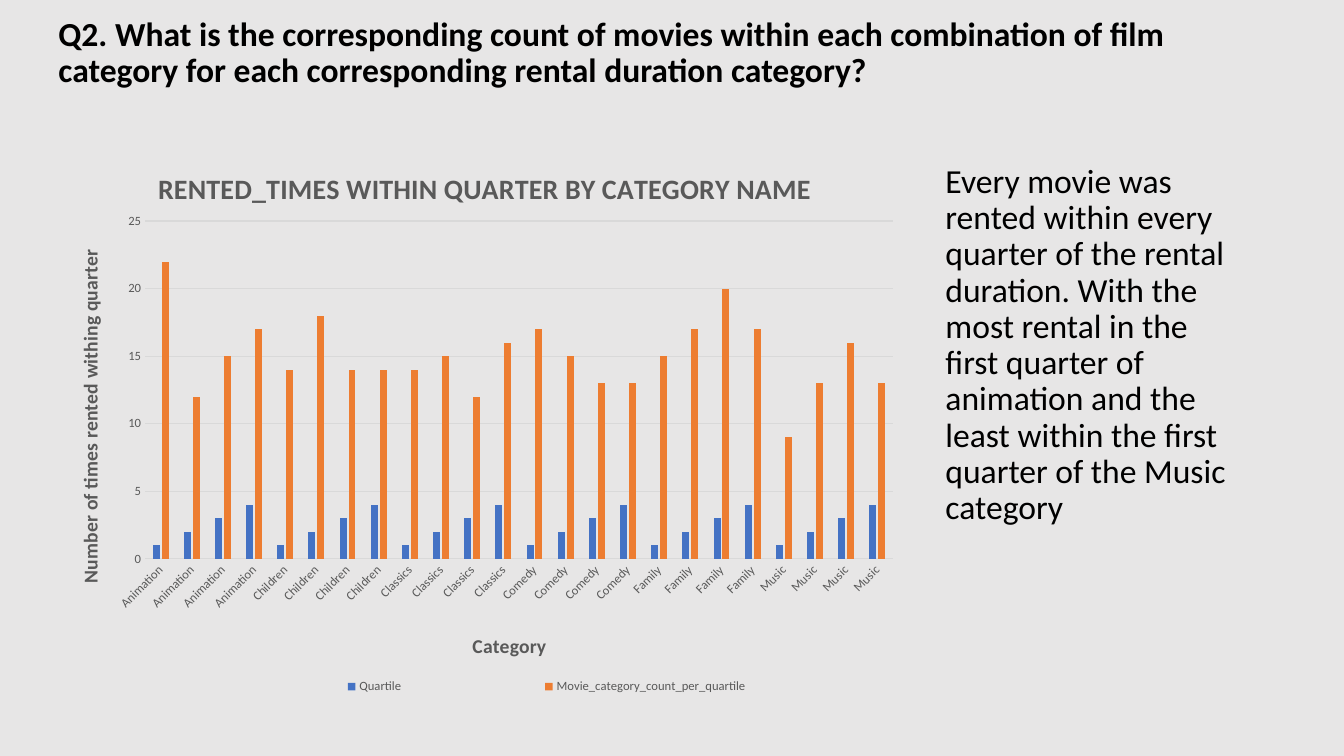
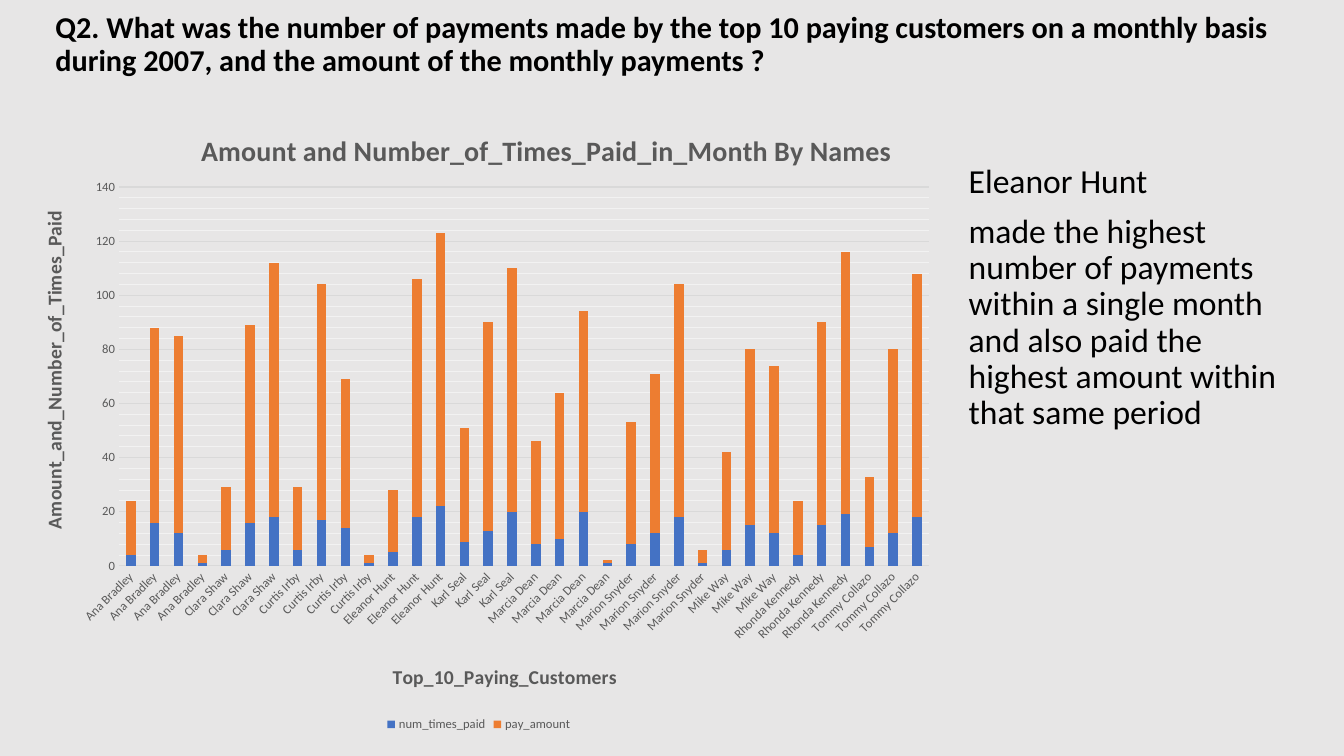
import copy
from dataclasses import dataclass
from typing import Optional

import lxml.etree
import pptx
import pptx.chart.data
import pptx.dml.color
import pptx.enum.chart
import pptx.enum.text
import pptx.oxml
import pptx.oxml.ns
import pptx.util

Pt = pptx.util.Pt
ChartType = pptx.enum.chart.XL_CHART_TYPE
qn = pptx.oxml.ns.qn


@dataclass(frozen=True)
class Theme:
    font: str = "Calibri"
    background: str = "E7E6E6"
    ink: str = "000000"
    chart_ink: str = "595959"
    rule: str = "D9D9D9"
    minor_rule: str = "F2F2F2"
    series: tuple[str, ...] = ("4472C4", "ED7D31")
    body_size: float = 24
    chart_size: float = 10
    chart_title_size: float = 20
    axis_title_size: float = 14
    tick_size: float = 9
    rule_width: float = 0.75
    line_spacing: float = 0.9
    paragraph_gap: float = 10


@dataclass(frozen=True)
class Frame:
    left: float
    top: float
    width: float = 0
    height: float = 0


@dataclass(frozen=True)
class Caption:
    text: str
    frame: Frame
    turned: bool = False


@dataclass(frozen=True)
class ColumnChart:
    kind: ChartType
    frame: Frame
    plot: Frame
    heading: Caption
    category_caption: Caption
    value_caption: Caption
    categories: list[str]
    series: dict[str, list[int]]
    maximum: float
    step: float
    gap: int
    overlap: int
    minor_step: Optional[float] = None
    legend: Optional[Frame] = None


@dataclass(frozen=True)
class Question:
    title: str
    title_frame: Frame
    title_size: float
    findings: list[str]
    findings_frame: Frame
    chart: ColumnChart
    findings_inset: float = 3.6


THEME = Theme()


def rgb(value: str) -> pptx.dml.color.RGBColor:
    return pptx.dml.color.RGBColor.from_string(value)


def style_font(font, size: float, color: str, bold: bool = False) -> None:
    font.name = THEME.font
    font.size = Pt(size)
    font.bold = bold
    font.color.rgb = rgb(color)


def style_line(line, color: str) -> None:
    line.color.rgb = rgb(color)
    line.width = Pt(THEME.rule_width)


def move(shape, frame: Frame) -> None:
    shape.left, shape.top = Pt(frame.left), Pt(frame.top)
    shape.width, shape.height = Pt(frame.width), Pt(frame.height)


def fill_placeholder(shape, frame: Frame, paragraphs: list[str], size: float,
                     anchor, bold: bool = False, gap: float = 0) -> None:
    move(shape, frame)
    text_frame = shape.text_frame
    text_frame.text = "\n".join(paragraphs)
    text_frame.word_wrap = True
    text_frame.auto_size = pptx.enum.text.MSO_AUTO_SIZE.NONE
    text_frame.vertical_anchor = anchor
    for paragraph in text_frame.paragraphs:
        paragraph.alignment = pptx.enum.text.PP_ALIGN.LEFT
        paragraph.line_spacing = THEME.line_spacing
        paragraph.space_before = Pt(gap)
        style_font(paragraph.font, size, THEME.ink, bold)
        properties = paragraph._p.get_or_add_pPr()
        properties.set("marL", "0")
        properties.set("indent", "0")
        bullet = lxml.etree.Element(qn("a:buNone"))
        properties.find(qn("a:defRPr")).addprevious(bullet)


def place_part(part, index: int, frame: Frame, chart_frame: Frame) -> None:
    for previous in part.findall(qn("c:layout")):
        part.remove(previous)
    layout = lxml.etree.Element(qn("c:layout"))
    manual = lxml.etree.SubElement(layout, qn("c:manualLayout"))
    settings = {"xMode": "edge", "yMode": "edge",
                "x": (frame.left - chart_frame.left) / chart_frame.width,
                "y": (frame.top - chart_frame.top) / chart_frame.height}
    if frame.width:
        settings["w"] = frame.width / chart_frame.width
        settings["h"] = frame.height / chart_frame.height
    if index == 0:
        settings = {"layoutTarget": "inner", **settings}
    for name, value in settings.items():
        lxml.etree.SubElement(manual, qn(f"c:{name}")).set("val", str(value))
    part.insert(index, layout)


def add_caption(title, caption: Caption, size: float, chart_frame: Frame) -> None:
    title.text_frame.text = caption.text
    style_font(title.text_frame.paragraphs[0].font, size, THEME.chart_ink, True)
    if caption.turned:
        body = title._element.find(f".//{qn('a:bodyPr')}")
        body.set("rot", "-5400000")
        body.set("vert", "horz")
    place_part(title._element, 1, caption.frame, chart_frame)


def clear_fill() -> lxml.etree._Element:
    properties = lxml.etree.Element(qn("c:spPr"))
    lxml.etree.SubElement(properties, qn("a:noFill"))
    line = lxml.etree.SubElement(properties, qn("a:ln"))
    lxml.etree.SubElement(line, qn("a:noFill"))
    return properties


def add_minor_gridlines(chart, step: float) -> None:
    chart.value_axis.minor_unit = step
    chart.value_axis.has_minor_gridlines = True
    major = chart.element.find(f".//{qn('c:majorGridlines')}")
    minor = chart.element.find(f".//{qn('c:minorGridlines')}")
    properties = copy.deepcopy(major.find(qn("c:spPr")))
    properties.find(f".//{qn('a:srgbClr')}").set("val", THEME.minor_rule)
    minor.append(properties)


def style_axes(chart, design: ColumnChart) -> None:
    captions = ((chart.category_axis, design.category_caption),
                (chart.value_axis, design.value_caption))
    for axis, caption in captions:
        axis.major_tick_mark = pptx.enum.chart.XL_TICK_MARK.NONE
        axis.minor_tick_mark = pptx.enum.chart.XL_TICK_MARK.NONE
        style_font(axis.tick_labels.font, THEME.tick_size, THEME.chart_ink)
        add_caption(axis.axis_title, caption, THEME.axis_title_size, design.frame)
    style_line(chart.category_axis.format.line, THEME.rule)
    chart.element.xpath(".//c:catAx/c:txPr/a:bodyPr")[0].set("rot", "-2700000")
    values = chart.value_axis
    values.format.line.fill.background()
    values.minimum_scale, values.maximum_scale = 0, design.maximum
    values.major_unit = design.step
    style_line(values.major_gridlines.format.line, THEME.rule)
    if design.minor_step:
        add_minor_gridlines(chart, design.minor_step)


def add_column_chart(slide, design: ColumnChart) -> None:
    data = pptx.chart.data.CategoryChartData()
    data.categories = design.categories
    for name, values in design.series.items():
        data.add_series(name, values)
    frame = design.frame
    chart = slide.shapes.add_chart(
        design.kind, Pt(frame.left), Pt(frame.top),
        Pt(frame.width), Pt(frame.height), data).chart
    style_font(chart.font, THEME.chart_size, THEME.ink)
    chart.has_title = True
    add_caption(chart.chart_title, design.heading, THEME.chart_title_size, frame)
    style_axes(chart, design)

    columns = chart.plots[0]
    columns.gap_width, columns.overlap = design.gap, design.overlap
    columns.vary_by_categories = False
    for series, color in zip(columns.series, THEME.series):
        series.format.fill.solid()
        series.format.fill.fore_color.rgb = rgb(color)

    chart.has_legend = True
    chart.legend.position = pptx.enum.chart.XL_LEGEND_POSITION.BOTTOM
    chart.legend.include_in_layout = False
    style_font(chart.legend.font, THEME.tick_size, THEME.chart_ink)
    if design.legend:
        place_part(chart.legend._element, 1, design.legend, frame)

    plot_area = chart.element.find(f".//{qn('c:plotArea')}")
    place_part(plot_area, 0, design.plot, frame)
    plot_area.append(clear_fill())
    chart.element.find(qn("c:chart")).addnext(clear_fill())


def add_question(presentation, question: Question) -> None:
    slide = presentation.slides.add_slide(presentation.slide_layouts[1])
    fill_placeholder(slide.shapes.title, question.title_frame, [question.title],
                     question.title_size, pptx.enum.text.MSO_ANCHOR.MIDDLE, bold=True)
    add_column_chart(slide, question.chart)
    findings = slide.placeholders[1]
    fill_placeholder(findings, question.findings_frame, question.findings,
                     THEME.body_size, pptx.enum.text.MSO_ANCHOR.TOP,
                     gap=THEME.paragraph_gap)
    findings.text_frame.margin_top = Pt(question.findings_inset)


def repeat_names(counts: dict[str, int]) -> list[str]:
    return [name for name, count in counts.items() for _ in range(count)]


GENRES = ("Animation", "Children", "Classics", "Comedy", "Family", "Music")
CUSTOMER_MONTHS = {
    "Ana Bradley": 4, "Clara Shaw": 3, "Curtis Irby": 4, "Eleanor Hunt": 3,
    "Karl Seal": 3, "Marcia Dean": 4, "Marion Snyder": 4, "Mike Way": 3,
    "Rhonda Kennedy": 3, "Tommy Collazo": 3}

QUESTIONS = (
    Question(
        "Q2. What is the corresponding count of movies within each combination of film "
        "category for each corresponding rental duration category?",
        Frame(34.56, 9.36, 859.68, 57.6), 24,
        ["Every movie was rented within every quarter of the rental duration. With the "
         "most rental in the first quarter of animation and the least within the first "
         "quarter of the Music category"],
        Frame(668.16, 113.76, 225.36, 390.24),
        ColumnChart(
            ChartType.COLUMN_CLUSTERED, Frame(34.56, 100.8, 616.32, 402.48),
            Frame(103.6, 157.9, 534.3, 241.4),
            Caption("RENTED_TIMES WITHIN QUARTER BY CATEGORY NAME", Frame(109.3, 117)),
            Caption("Category", Frame(335, 449.3)),
            Caption("Number of times rented withing quarter", Frame(52, 175.7), True),
            repeat_names(dict.fromkeys(GENRES, 4)),
            {"Quartile": [1, 2, 3, 4] * len(GENRES),
             "Movie_category_count_per_quartile": [
                 22, 12, 15, 17, 14, 18, 14, 14, 14, 15, 12, 16,
                 17, 15, 13, 13, 15, 17, 20, 17, 9, 13, 16, 13]},
            maximum=25, step=5, gap=219, overlap=-27,
            legend=Frame(148.6, 482, 483.6, 17))),
    Question(
        "Q2. What was the number of payments made by the top 10 paying customers on a "
        "monthly basis during 2007, and the amount of the monthly payments ?",
        Frame(32.4, 11.52, 895.68, 41.76), 21.6,
        ["Eleanor Hunt",
         "made the highest number of payments within a single month and also paid the "
         "highest amount within that same period"],
        Frame(684.72, 74.16, 243.36, 450.72),
        ColumnChart(
            ChartType.COLUMN_STACKED, Frame(7.92, 74.88, 668.16, 450.72),
            Frame(85, 133.6, 578.6, 270.7),
            Caption("Amount and Number_of_Times_Paid_in_Month By Names", Frame(140, 90)),
            Caption("Top_10_Paying_Customers", Frame(278, 471.4)),
            Caption("Amount_and_Number_of_Times_Paid", Frame(26.4, 148), True),
            repeat_names(CUSTOMER_MONTHS),
            {"num_times_paid": [
                4, 16, 12, 1, 6, 16, 18, 6, 17, 14, 1, 5, 18, 22, 9, 13, 20,
                8, 10, 20, 1, 8, 12, 18, 1, 6, 15, 12, 4, 15, 19, 7, 12, 18],
             "pay_amount": [
                20, 72, 73, 3, 23, 73, 94, 23, 87, 55, 3, 23, 88, 101, 42, 77, 90,
                38, 54, 74, 1, 45, 59, 86, 5, 36, 65, 62, 20, 75, 97, 26, 68, 90]},
            maximum=140, step=20, gap=150, overlap=100, minor_step=4),
        findings_inset=43),
)


def main() -> None:
    presentation = pptx.Presentation()
    presentation.slide_width, presentation.slide_height = Pt(960), Pt(540)
    backdrop = presentation.slide_master.background.fill
    backdrop.solid()
    backdrop.fore_color.rgb = rgb(THEME.background)
    for question in QUESTIONS:
        add_question(presentation, question)
    presentation.save("out.pptx")


main()
